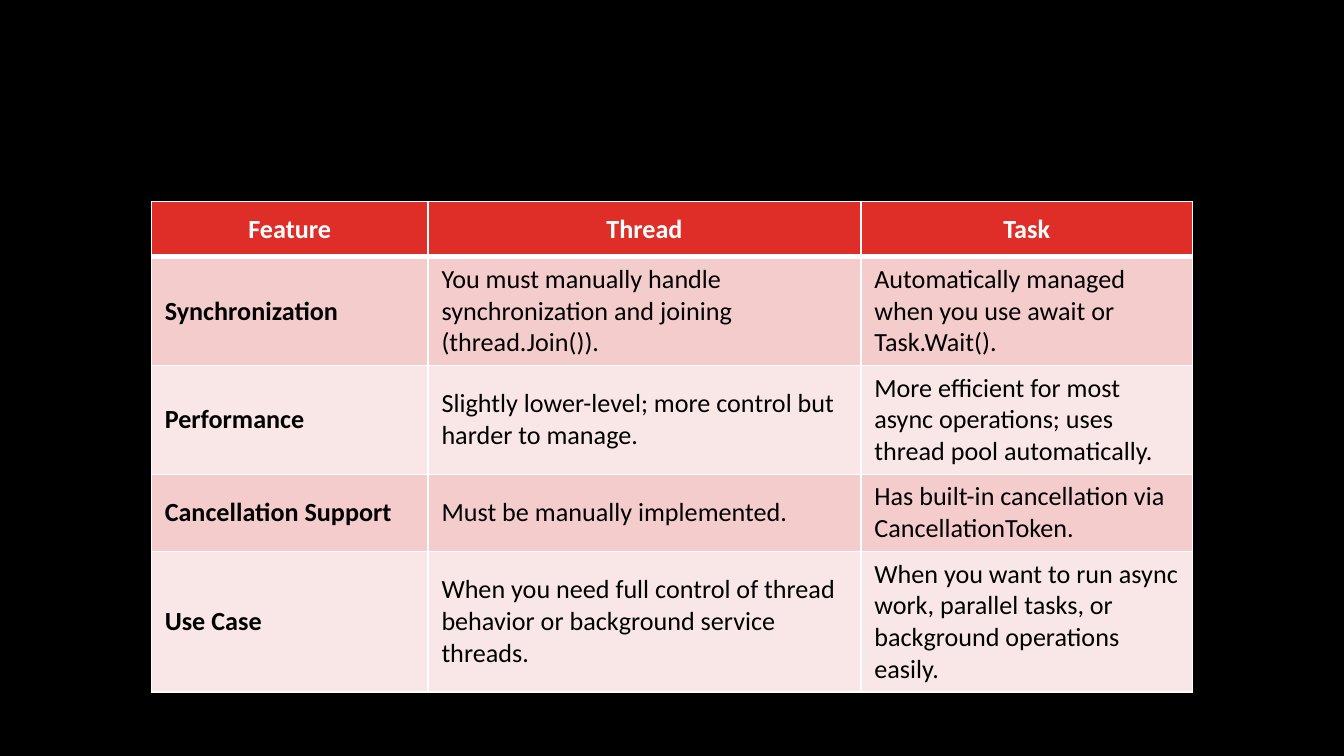
from lxml.etree import SubElement
from pptx import Presentation
from pptx.dml.color import RGBColor
from pptx.enum.text import MSO_ANCHOR, PP_ALIGN
from pptx.oxml.ns import qn
from pptx.util import Cm, Pt

BLACK = RGBColor(0x00, 0x00, 0x00)
WHITE = RGBColor(0xFF, 0xFF, 0xFF)
RED = RGBColor(0xDF, 0x2E, 0x28)
ROSE = RGBColor(0xF3, 0xCC, 0xCB)
PALE_ROSE = RGBColor(0xF9, 0xE7, 0xE7)

COMPARISON = [
    ("Feature", "Thread", "Task"),
    ("Synchronization",
     "You must manually handle synchronization and joining (thread.Join()).",
     "Automatically managed when you use await or Task.Wait()."),
    ("Performance",
     "Slightly lower-level; more control but harder to manage.",
     "More efficient for most async operations; uses thread pool automatically."),
    ("Cancellation Support",
     "Must be manually implemented.",
     "Has built-in cancellation via CancellationToken."),
    ("Use Case",
     "When you need full control of thread behavior or background service threads.",
     "When you want to run async work, parallel tasks, or background operations easily."),
]
COLUMN_WIDTHS = [Cm(5.23), Cm(8.18), Cm(6.27)]
ROW_HEIGHT = Cm(1.04)


def add_border(cell, side, width):
    """Draw one white cell edge; call in the order L, R, T, B, before the fill."""
    line = SubElement(cell._tc.get_or_add_tcPr(), qn(f"a:ln{side}"), w=str(width))
    fill = SubElement(line, qn("a:solidFill"))
    SubElement(fill, qn("a:srgbClr"), val=str(WHITE))


presentation = Presentation()
presentation.slide_width = Cm(25.4)
presentation.slide_height = Cm(14.29)
slide = presentation.slides.add_slide(presentation.slide_layouts[6])
slide.background.fill.solid()
slide.background.fill.fore_color.rgb = BLACK

comparison = slide.shapes.add_table(
    len(COMPARISON), len(COLUMN_WIDTHS), Cm(2.86), Cm(3.81),
    sum(COLUMN_WIDTHS), ROW_HEIGHT * len(COMPARISON)).table
for column, width in zip(comparison.columns, COLUMN_WIDTHS):
    column.width = width

for row, entries in enumerate(COMPARISON):
    comparison.rows[row].height = ROW_HEIGHT
    is_header = row == 0
    for col, entry in enumerate(entries):
        cell = comparison.cell(row, col)
        add_border(cell, "L", Pt(1))
        add_border(cell, "R", Pt(1))
        add_border(cell, "T", Pt(3) if row == 1 else Pt(1))
        add_border(cell, "B", Pt(3) if is_header else Pt(1))
        cell.fill.solid()
        cell.fill.fore_color.rgb = RED if is_header else ROSE if row % 2 else PALE_ROSE
        cell.vertical_anchor = MSO_ANCHOR.MIDDLE

        paragraph = cell.text_frame.paragraphs[0]
        paragraph.alignment = PP_ALIGN.CENTER if is_header else PP_ALIGN.LEFT
        run = paragraph.add_run()
        run.text = entry
        run.font.name = "Calibri"
        run.font.size = Pt(14)
        run.font.bold = is_header or col == 0
        run.font.color.rgb = WHITE if is_header else BLACK

presentation.save("out.pptx")
